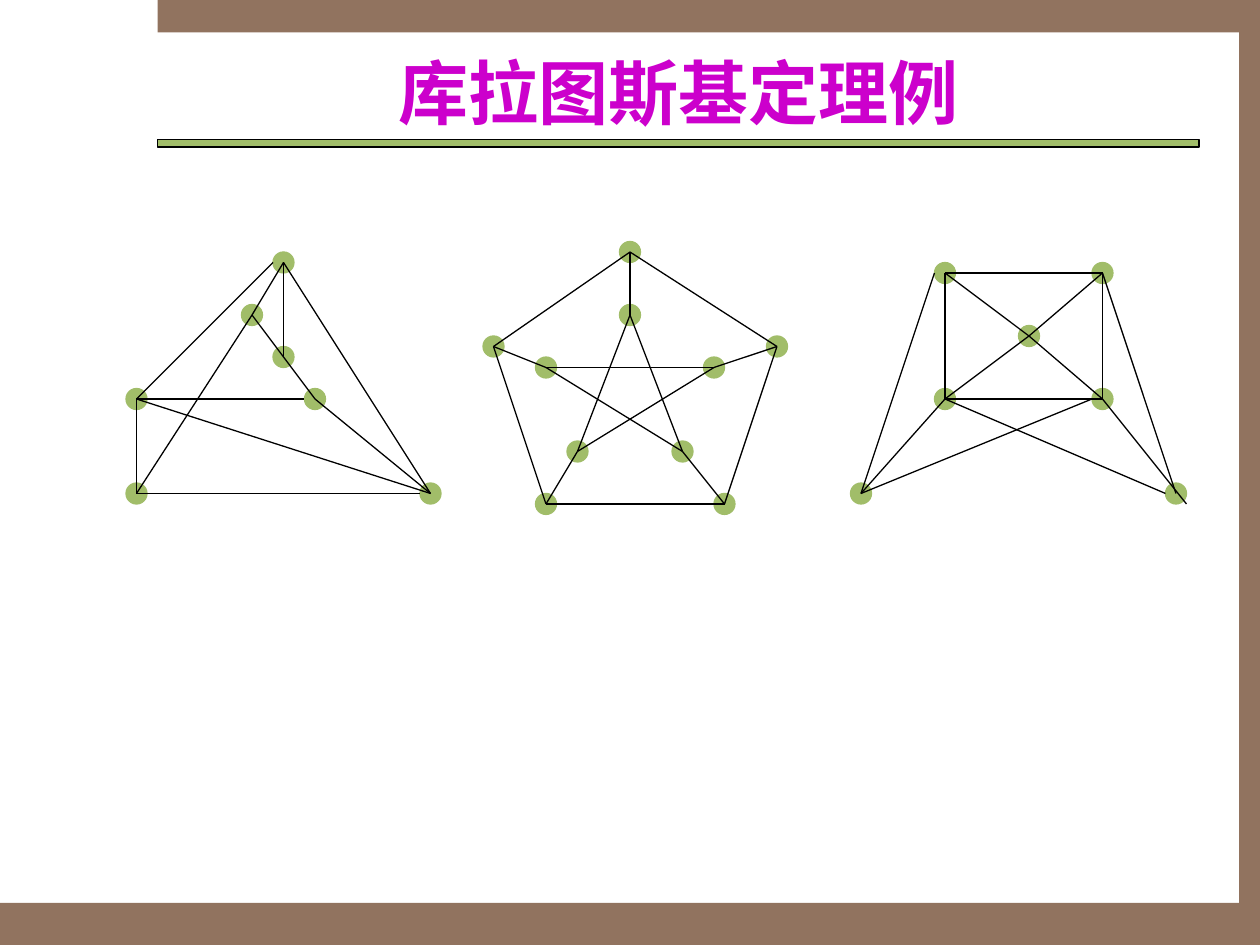
from dataclasses import dataclass, field

from lxml import etree
from pptx import Presentation
from pptx.dml.color import RGBColor
from pptx.enum import shapes, text
from pptx.oxml import ns
from pptx.util import Inches, Pt

BROWN = RGBColor(0x91, 0x73, 0x5F)
GREEN = RGBColor(0xA1, 0xBD, 0x69)
BLACK = RGBColor(0, 0, 0)
MAGENTA = RGBColor(0xCC, 0, 0xCC)

CELL = Inches(1) // 12
COLUMNS, ROWS = 120, 90
NODE_SIZE = 2
LINE_WIDTH = Pt(0.75)
FONT = "Noto Sans CJK SC"

Point = tuple[float, float]


@dataclass(frozen=True)
class Bar:
    column: float
    row: float
    columns: float
    rows: float
    fill: RGBColor
    outline: RGBColor | None = None


@dataclass(frozen=True)
class Graph:
    nodes: dict[str, Point]
    edges: str
    loose_ends: dict[str, Point] = field(default_factory=dict)


BARS = (
    Bar(0, 86, COLUMNS, 4, BROWN),
    Bar(15, 0, 105, 3.1, BROWN),
    Bar(118, 3, 2, 83, BROWN),
    Bar(15, 13.3, 99.2, 0.7, GREEN, BLACK),
)
TITLE_AREA = (15, 4, 99.2, 9.5)

GRAPHS = (
    Graph(
        {"A": (27, 25), "B": (24, 30), "C": (27, 34), "D": (30, 38),
         "E": (13, 38), "F": (13, 47), "G": (41, 47)},
        "EF Fg Ed DG BC CD BA EG Ea AG FB AC",
        {"a": (26, 25), "d": (29, 38), "g": (40, 47)},
    ),
    Graph(
        {"A": (52, 48), "B": (69, 48), "C": (74, 33), "D": (47, 33),
         "E": (60, 24), "F": (55, 43), "G": (65, 43), "H": (68, 35),
         "I": (52, 35), "J": (60, 30)},
        "IH FH JF JG IG AB BC AD DE EC FA GB HC DI JE",
    ),
    Graph(
        {"A": (90, 26), "B": (90, 38), "C": (105, 38), "D": (105, 26),
         "E": (98, 32), "F": (82, 47), "G": (112, 47)},
        "AB DC AD BC aF BF DG Ch AE EC BE ED Fc Bg",
        {"a": (89, 26), "c": (104, 38), "g": (111, 47), "h": (113, 48)},
    ),
)


def cells(*counts: float) -> list[int]:
    return [round(count * CELL) for count in counts]


def apply_format(target: object, values: dict[str, object]) -> None:
    for name, value in values.items():
        setattr(target, name, value)


def draw_shape(page, kind, area: tuple, fill: RGBColor, outline: RGBColor | None) -> None:
    shape = page.shapes.add_shape(kind, *cells(*area))
    shape.shadow.inherit = False
    shape.fill.solid()
    shape.fill.fore_color.rgb = fill
    if outline is None:
        shape.line.fill.background()
    else:
        shape.line.color.rgb = outline
        shape.line.width = LINE_WIDTH


def draw_edge(page, start: Point, end: Point) -> None:
    edge = page.shapes.add_connector(
        shapes.MSO_CONNECTOR.STRAIGHT, *cells(*start, *end))
    edge.line.color.rgb = BLACK
    edge.line.width = LINE_WIDTH
    etree.SubElement(edge._element.spPr, ns.qn("a:effectLst"))


def draw_graph(page, graph: Graph) -> None:
    for column, row in graph.nodes.values():
        area = (column - NODE_SIZE / 2, row - NODE_SIZE / 2, NODE_SIZE, NODE_SIZE)
        draw_shape(page, shapes.MSO_SHAPE.OVAL, area, GREEN, GREEN)
    points = graph.nodes | graph.loose_ends
    for start, end in graph.edges.split():
        draw_edge(page, points[start], points[end])


def draw_title(page, words: str) -> None:
    box = page.shapes.add_textbox(*cells(*TITLE_AREA))
    apply_format(box.text_frame, {
        "word_wrap": True, "vertical_anchor": text.MSO_ANCHOR.MIDDLE})
    para = box.text_frame.paragraphs[0]
    para.alignment = text.PP_ALIGN.CENTER
    span = para.add_run()
    span.text = words
    apply_format(span.font, {"name": FONT, "size": Pt(40), "bold": True})
    span.font.color.rgb = MAGENTA
    east_asian = etree.SubElement(span.font._element, ns.qn("a:ea"))
    east_asian.set("typeface", FONT)


def main() -> None:
    deck = Presentation()
    apply_format(deck, {"slide_width": COLUMNS * CELL, "slide_height": ROWS * CELL})
    page = deck.slides.add_slide(deck.slide_layouts[6])
    for bar in BARS:
        area = (bar.column, bar.row, bar.columns, bar.rows)
        draw_shape(page, shapes.MSO_SHAPE.RECTANGLE, area, bar.fill, bar.outline)
    draw_title(page, "库拉图斯基定理例")
    for graph in GRAPHS:
        draw_graph(page, graph)
    deck.save("out.pptx")


if __name__ == "__main__":
    main()
